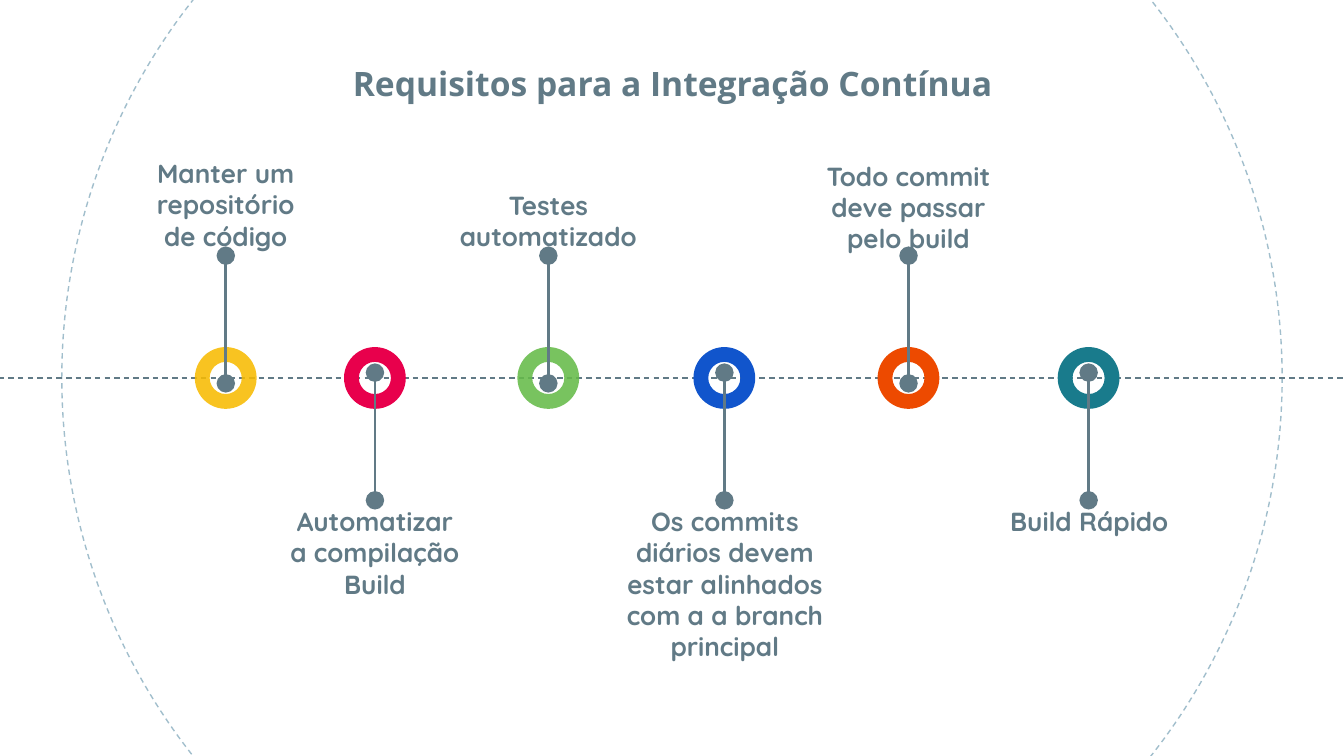
from dataclasses import dataclass

from lxml import etree
from pptx import Presentation
from pptx.dml.color import RGBColor
from pptx.enum.dml import MSO_LINE
from pptx.enum.shapes import MSO_CONNECTOR, MSO_SHAPE
from pptx.enum.text import MSO_ANCHOR, PP_ALIGN
from pptx.oxml.ns import qn
from pptx.util import Inches, Pt

WIDTH = 10
HEIGHT = WIDTH * 9 / 16
AXIS_Y = HEIGHT / 2
ORBIT_SIZE = 9.08
RING_SIZE = 0.46
RING_THICKNESS = 0.24
INNER_REACH, OUTER_REACH = 0.04, 0.91
INSET = 0.1

SLATE = RGBColor(0x61, 0x7A, 0x86)
MIST = RGBColor(0xA1, 0xBE, 0xCC)
YELLOW = RGBColor(0xF8, 0xBB, 0x00)
CRIMSON = RGBColor(0xE8, 0x00, 0x4C)
GREEN = RGBColor(0x65, 0xBB, 0x48)
BLUE = RGBColor(0x11, 0x55, 0xCC)
ORANGE = RGBColor(0xED, 0x4A, 0x00)
TEAL = RGBColor(0x19, 0x7B, 0x8C)


@dataclass(frozen=True)
class Requirement:
    """One milestone on the axis, with its label box in inches."""
    center: float
    color: RGBColor
    paragraphs: tuple[str, ...]
    left: float
    top: float
    width: float
    height: float
    above: bool = False
    opacity: int = 100


REQUIREMENTS = (
    Requirement(1.68, YELLOW, ("Manter um repositório de código",),
                1, 1.07, 1.36, 0.85, above=True, opacity=87),
    Requirement(2.79, CRIMSON, ("Automatizar a compilação", "Build"),
                2.03, 3.66, 1.52, 0.45),
    Requirement(4.08, GREEN, ("Testes automatizado",),
                3.32, 1.31, 1.52, 0.59, above=True, opacity=87),
    Requirement(5.39, BLUE,
                ("Os commits diários devem estar alinhados com a a branch principal",),
                4.53, 3.66, 1.73, 0.45),
    Requirement(6.76, ORANGE, ("Todo commit deve passar pelo build",),
                6, 1.09, 1.52, 0.59, above=True),
    Requirement(8.1, TEAL, ("Build Rápido",), 7.24, 3.66, 1.73, 0.45),
)


def write(frame, paragraphs: tuple[str, ...], font: str, size: int, anchor) -> None:
    """Fill a text frame with centred bold slate paragraphs."""
    frame.word_wrap = True
    frame.vertical_anchor = anchor
    frame.margin_left = frame.margin_right = Inches(INSET)
    frame.margin_top = frame.margin_bottom = Inches(INSET)
    for index, text in enumerate(paragraphs):
        paragraph = frame.add_paragraph() if index else frame.paragraphs[0]
        paragraph.alignment = PP_ALIGN.CENTER
        run = paragraph.add_run()
        run.text = text
        run.font.name, run.font.size, run.font.bold = font, Pt(size), True
        run.font.color.rgb = SLATE


def add_title(slide, text: str) -> None:
    """Place the title and format its text."""
    title = slide.shapes.title
    title.left, title.top = Inches(2.12), Inches(0.17)
    title.width, title.height = Inches(5.77), Inches(0.7)
    write(title.text_frame, (text,), "Open Sans", 18, MSO_ANCHOR.BOTTOM)


def add_line(slide, start: tuple[float, float], end: tuple[float, float], weight: float):
    """Draw a slate line without a shadow."""
    line = slide.shapes.add_connector(
        MSO_CONNECTOR.STRAIGHT, *(Inches(value) for value in start + end))
    line.line.color.rgb = SLATE
    line.line.width = Pt(weight)
    etree.SubElement(line._element.spPr, qn("a:effectLst"))
    return line


def add_orbit(slide) -> None:
    """Draw the large dashed circle centred on the slide."""
    orbit = slide.shapes.add_shape(
        MSO_SHAPE.OVAL, Inches((WIDTH - ORBIT_SIZE) / 2), Inches(AXIS_Y - ORBIT_SIZE / 2),
        Inches(ORBIT_SIZE), Inches(ORBIT_SIZE))
    orbit.shadow.inherit = False
    orbit.fill.background()
    orbit.line.color.rgb = MIST
    orbit.line.width = Pt(0.75)
    orbit.line.dash_style = MSO_LINE.DASH


def add_ring(slide, requirement: Requirement) -> None:
    """Draw the coloured ring on the axis."""
    ring = slide.shapes.add_shape(
        MSO_SHAPE.DONUT, Inches(requirement.center - RING_SIZE / 2),
        Inches(AXIS_Y - RING_SIZE / 2), Inches(RING_SIZE), Inches(RING_SIZE))
    ring.adjustments[0] = RING_THICKNESS
    ring.shadow.inherit = False
    ring.fill.solid()
    ring.fill.fore_color.rgb = requirement.color
    ring.line.fill.background()
    if requirement.opacity < 100:
        color = ring._element.spPr.find(qn("a:solidFill"))[0]
        etree.SubElement(color, qn("a:alpha"), val=str(requirement.opacity * 1000))


def add_stem(slide, requirement: Requirement) -> None:
    """Join the ring to its label with a round-ended line."""
    side = -1 if requirement.above else 1
    stem = add_line(slide, (requirement.center, AXIS_Y - side * INNER_REACH),
                    (requirement.center, AXIS_Y + side * OUTER_REACH), 1.5)
    outline = stem.line._get_or_add_ln()
    for end in ("a:headEnd", "a:tailEnd"):
        etree.SubElement(outline, qn(end), type="oval", w="lg", len="lg")


def add_label(slide, requirement: Requirement) -> None:
    """Write the requirement's text."""
    box = slide.shapes.add_textbox(
        Inches(requirement.left), Inches(requirement.top),
        Inches(requirement.width), Inches(requirement.height))
    write(box.text_frame, requirement.paragraphs, "Quicksand", 14, MSO_ANCHOR.TOP)


def main() -> None:
    """Build and save the slide."""
    deck = Presentation()
    deck.slide_width, deck.slide_height = Inches(WIDTH), Inches(HEIGHT)
    slide = deck.slides.add_slide(deck.slide_layouts[5])
    add_orbit(slide)
    axis = add_line(slide, (-0.01, AXIS_Y), (WIDTH + 0.01, AXIS_Y), 0.75)
    axis.line.dash_style = MSO_LINE.DASH
    add_title(slide, "Requisitos para a Integração Contínua")
    for requirement in REQUIREMENTS:
        add_ring(slide, requirement)
        add_stem(slide, requirement)
        add_label(slide, requirement)
    deck.save("out.pptx")


main()
